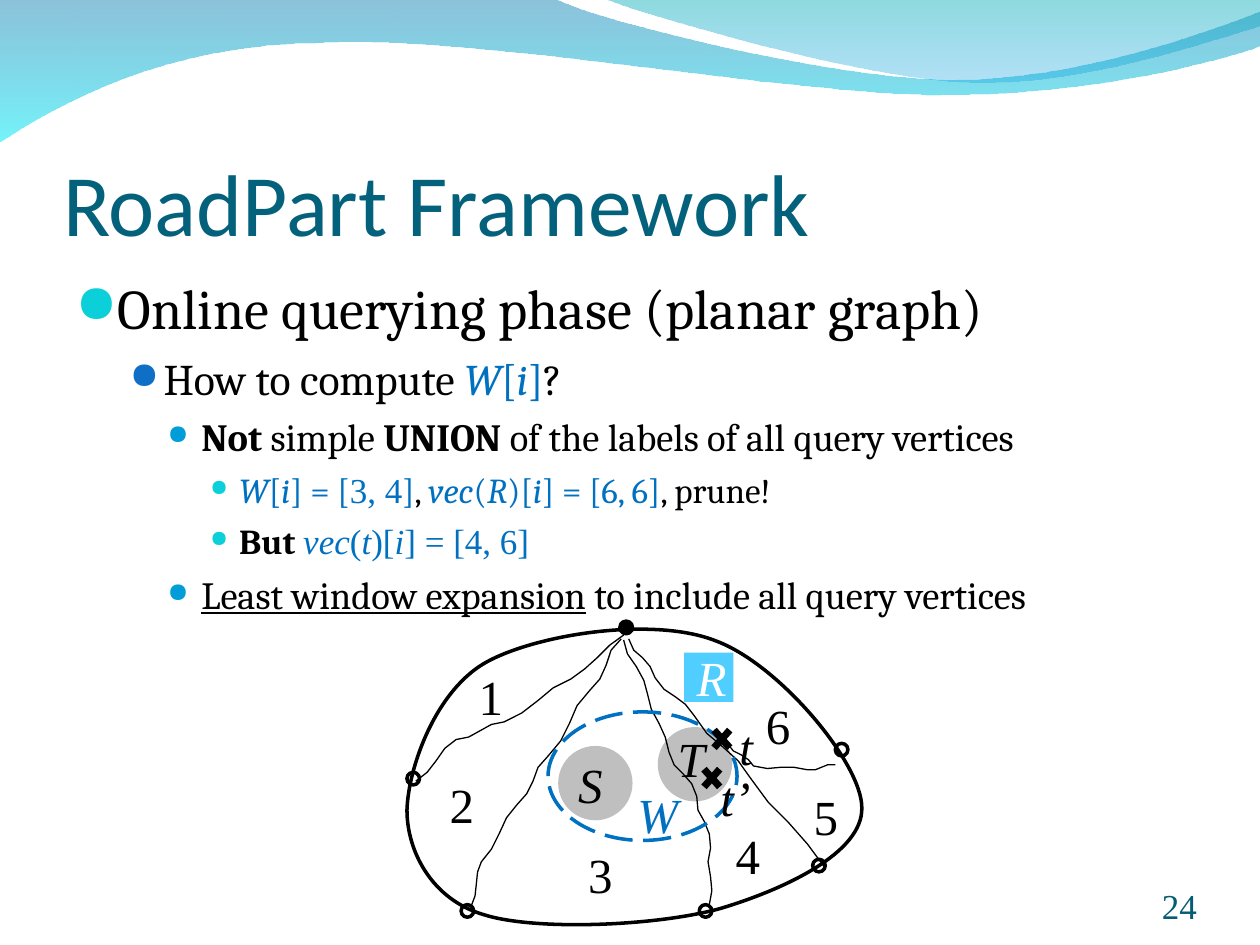
from dataclasses import dataclass
from itertools import pairwise
from math import hypot

from lxml import etree
from pptx import Presentation
from pptx.dml.color import RGBColor
from pptx.enum.dml import MSO_LINE
from pptx.enum.shapes import MSO_SHAPE
from pptx.enum.text import MSO_ANCHOR, MSO_AUTO_SIZE, PP_ALIGN
from pptx.oxml.ns import qn
from pptx.util import Pt

PX = 9144  # EMU per px, 100 px to the inch
TITLE_ONLY = 5
OVAL, RECT, CROSS = MSO_SHAPE.OVAL, MSO_SHAPE.RECTANGLE, MSO_SHAPE.MATH_MULTIPLY
LEFT, CENTER, RIGHT = PP_ALIGN.LEFT, PP_ALIGN.CENTER, PP_ALIGN.RIGHT
MIDDLE, BOTTOM = MSO_ANCHOR.MIDDLE, MSO_ANCHOR.BOTTOM
NO_FIT, GROW = MSO_AUTO_SIZE.NONE, MSO_AUTO_SIZE.SHAPE_TO_FIT_TEXT
LONG_DASH = MSO_LINE.LONG_DASH


@dataclass(frozen=True)
class Theme:
    heading: str = "Calibri"
    body: str = "Cambria"
    math: str = "Times New Roman"
    black: str = "000000"
    white: str = "FFFFFF"
    blue: str = "0070C0"
    title: str = "04617B"
    number: str = "045C75"
    region: str = "4FCEFF"
    disc: str = "BFBFBF"
    title_size: int = 50
    number_size: int = 20
    label_size: int = 28
    # per level: text size, left margin, hanging indent, space before, bullet colour, bullet %
    levels: tuple = (
        (32, 30, 30, 8, "0BD0D9", 95),
        (25, 70, 27, 6.2, "0F6FC6", 85),
        (22, 100, 27, 5.5, "009DD9", 70),
        (20, 130, 23, 5, "0BD0D9", 65),
    )


def rgb(value):
    return RGBColor.from_string(value)


def px(*lengths):
    return [length * PX for length in lengths]


class SlideBuilder:
    def __init__(self, slide, theme):
        self.slide, self.theme, self.shapes = slide, theme, slide.shapes

    def start_group(self):
        self.shapes = self.slide.shapes.add_group_shape().shapes

    def style(self, shape, fill=None, line=None, width=2, dash=None):
        shape.shadow.inherit = False
        if fill:
            shape.fill.solid()
            shape.fill.fore_color.rgb = rgb(fill)
        else:
            shape.fill.background()
        if line:
            shape.line.color.rgb = rgb(line)
            shape.line.width = Pt(width)
            shape.line.dash_style = dash
        else:
            shape.line.fill.background()
        return shape

    def preset(self, kind, box, **look):
        return self.style(self.shapes.add_shape(kind, *px(*box)), **look)

    def freeform(self, start, segments, close=False, **look):
        """Each segment is (x, y) for a line or (x1, y1, x2, y2, x, y) for a Bézier curve."""
        builder = self.shapes.build_freeform(*start, scale=PX)
        for segment in segments:
            builder.add_line_segments(list(zip(segment[::2], segment[1::2])), close=False)
        if close:
            builder.add_line_segments([], close=True)
        shape = builder.convert_to_shape()
        outline = shape._element.find(".//" + qn("a:path"))
        steps = iter(outline.findall(qn("a:lnTo")))
        for segment in segments:
            step = next(steps)
            if len(segment) == 6:
                step.tag = qn("a:cubicBezTo")
                for extra in (next(steps), next(steps)):
                    step.append(extra[0])
                    outline.remove(extra)
        return self.style(shape, **look)

    def road(self, anchors):
        """Draw a thin line through the anchors that sways a little to either side."""
        bends = []
        for (x1, y1), (x2, y2) in pairwise(anchors):
            length = hypot(x2 - x1, y2 - y1)
            for part, sway in ((0.25, 1.5), (0.5, -0.5), (0.75, -1.5), (1, 0)):
                bends.append((x1 + (x2 - x1) * part - (y2 - y1) / length * sway,
                              y1 + (y2 - y1) * part + (x2 - x1) / length * sway))
        self.freeform(anchors[0], bends, line=self.theme.black, width=0.75)

    def wave(self, start, segments, stops):
        """Draw a band filled top to bottom with two (colour, opacity %) stops."""
        fill = self.freeform(start, segments, close=True).fill
        fill.gradient()
        fill.gradient_angle = 270
        for position, (stop, (color, opacity)) in enumerate(zip(fill.gradient_stops, stops)):
            stop.position = position
            stop.color.rgb = rgb(color)
            color_node = stop._gs.find(qn("a:srgbClr"))
            etree.SubElement(color_node, qn("a:alpha"), val=str(opacity * 1000))

    def run(self, paragraph, text, size, font=None, color=None, **emphasis):
        run = paragraph.add_run()
        run.text = text
        looks = {"size": Pt(size), "name": font or self.theme.math, **emphasis}
        for name, value in looks.items():
            setattr(run.font, name, value)
        run.font.color.rgb = rgb(color or self.theme.black)

    def frame(self, shape, insets=(10, 5, 10, 5), align=LEFT, **settings):
        """Set up the text frame and give its first paragraph."""
        sides = ("margin_left", "margin_top", "margin_right", "margin_bottom")
        frame = shape.text_frame
        values = {"word_wrap": True, "auto_size": NO_FIT, **dict(zip(sides, px(*insets))), **settings}
        for name, value in values.items():
            setattr(frame, name, value)
        frame.paragraphs[0].alignment = align
        return frame.paragraphs[0]

    def title(self, text, box):
        title = self.slide.shapes.title
        title.left, title.top, title.width, title.height = px(*box)
        line = self.frame(title, (0, 5, 0, 0), vertical_anchor=BOTTOM)
        self.run(line, text, self.theme.title_size, self.theme.heading, self.theme.title)

    def page_number(self, text, box):
        line = self.frame(self.shapes.add_textbox(*px(*box)), (0, 0, 0, 0), RIGHT,
                          vertical_anchor=BOTTOM)
        self.run(line, text, self.theme.number_size, color=self.theme.number)

    def label(self, text, left, top, width=39, color=None, italic=True):
        box = self.shapes.add_textbox(*px(left, top, width, 57))
        line = self.frame(box, word_wrap=False, auto_size=GROW)
        self.run(line, text, self.theme.label_size, color=color, italic=italic)

    def bullets(self, box, items):
        """Items are (level, runs); run flags: b bold, i italic, u underline, c blue, t Times."""
        body = self.shapes.add_textbox(*px(*box))
        paragraph = self.frame(body)
        for index, (level, runs) in enumerate(items):
            size, margin, hang, before, color, percent = self.theme.levels[level]
            if index:
                paragraph = body.text_frame.add_paragraph()
                paragraph.space_before = Pt(before)
            paragraph.level = level
            properties = paragraph._p.get_or_add_pPr()
            properties.set("marL", str(margin * PX))
            properties.set("indent", str(-hang * PX))
            bullet_color = etree.SubElement(properties, qn("a:buClr"))
            etree.SubElement(bullet_color, qn("a:srgbClr"), val=color)
            etree.SubElement(properties, qn("a:buSzPct"), val=str(percent * 1000))
            etree.SubElement(properties, qn("a:buChar"), char="●")
            for text, flags in runs:
                self.run(paragraph, text, size,
                         self.theme.math if "t" in flags else self.theme.body,
                         self.theme.blue if "c" in flags else self.theme.black,
                         bold="b" in flags, italic="i" in flags, underline="u" in flags)


theme = Theme()
presentation = Presentation()
presentation.slide_width, presentation.slide_height = px(1000, 750)
page = SlideBuilder(presentation.slides.add_slide(presentation.slide_layouts[TITLE_ONLY]), theme)

page.wave((0, -1), [(440, -1), (476, 17, 664, 63, 758, 63), (853, 63, 958, 26, 1000, 9), (1001, 36),
                    (983, 44, 870, 76, 746, 75), (622, 75, 382, 28, 257, 34),
                    (129, 35, 46, 83, -1, 113)], [("0079AF", 45), ("00EBF8", 55)])
page.wave((479, -1), [(509, 11, 682, 62, 769, 65), (856, 69, 961, 32, 1000, 21), (1000, 0)],
          [("00ADB6", 45), ("009BE5", 30)])
page.title("RoadPart Framework", (50, 77, 900, 125))

window = [("W", "ci"), ("[", "c"), ("i", "ci")]
page.bullets((50, 212, 863, 510), [
    (0, [("Online querying phase (planar graph)", "")]),
    (1, [("How to compute ", ""), *window, ("]", "c"), ("?", "")]),
    (2, [("Not ", "b"), ("simple ", ""), ("UNION ", "b"),
         ("of the labels of all query vertices", "")]),
    (3, [*window, ("] = [", "c"), ("3, 4", "ct"), ("]", "c"), (", ", ""), ("vec", "ci"), ("(", "c"),
         ("R", "ci"), (")[", "c"), ("i", "ci"), ("] = [6, 6]", "c"), (", prune!", "")]),
    (3, [("But ", "b"), ("vec", "cit"), ("(", "ct"), ("t", "cit"), (")[", "ct"), ("i", "cit"),
         ("] = [4, 6]", "ct")]),
    (2, [("Least window expansion", "u"), (" to include all query vertices", "")]),
])
page.page_number("24", (867, 695, 83, 40))

page.start_group()
page.preset(OVAL, (522, 577, 59, 59), fill=theme.disc)
page.label("T", 528, 573, 41)
page.freeform((323, 643), [
    (324, 609, 346, 547, 387, 525), (428, 503, 520, 489, 569, 509), (619, 528, 684, 606, 684, 641),
    (685, 677, 622, 706, 572, 721), (522, 735, 425, 739, 384, 726), (343, 714, 323, 676, 323, 643),
], close=True, line=theme.black)
page.preset(OVAL, (492, 493, 10, 10), fill=theme.black, line=theme.black)
for left, top in [(323, 613), (663, 590), (645, 682), (366, 718), (555, 718)]:
    page.preset(OVAL, (left, top, 10, 10), line=theme.black)

for anchors in [
    [(499, 507), (520, 538), (551, 568), (596, 618), (655, 689)],
    [(578, 591), (598, 608), (641, 611), (663, 607)],
    [(495, 508), (514, 551), (531, 597), (553, 632), (564, 673), (563, 718)],
    [(493, 507), (468, 548), (435, 600), (410, 639), (382, 684), (374, 719)],
    [(495, 504), (453, 539), (400, 573), (362, 587), (330, 620)],
]:
    page.road(anchors)

zone_corners = [(370, 524), (347, 610), (457, 665), (574, 650), (636, 619), (598, 547)]
for zone, corner in enumerate(zone_corners, start=1):
    page.label(str(zone), *corner, italic=False)

page.preset(OVAL, (443, 592, 59, 59), fill=theme.disc)
page.label("S", 449, 594)
page.preset(OVAL, (435, 565, 150, 102), line=theme.blue, dash=LONG_DASH)
page.label("W", 496, 618, 52, theme.blue)
for vertex, mark, place in [("t", (553, 604), (577, 564, 31)), ("t’", (561, 573), (562, 604, 44))]:
    page.preset(CROSS, (*mark, 24, 27), fill=theme.black)
    page.label(vertex, *place)

region = page.preset(RECT, (543, 518, 39, 39), fill=theme.region)
region_line = page.frame(region, align=CENTER, vertical_anchor=MIDDLE)
page.run(region_line, "R", theme.label_size, color=theme.white, italic=True)

presentation.save("out.pptx")
